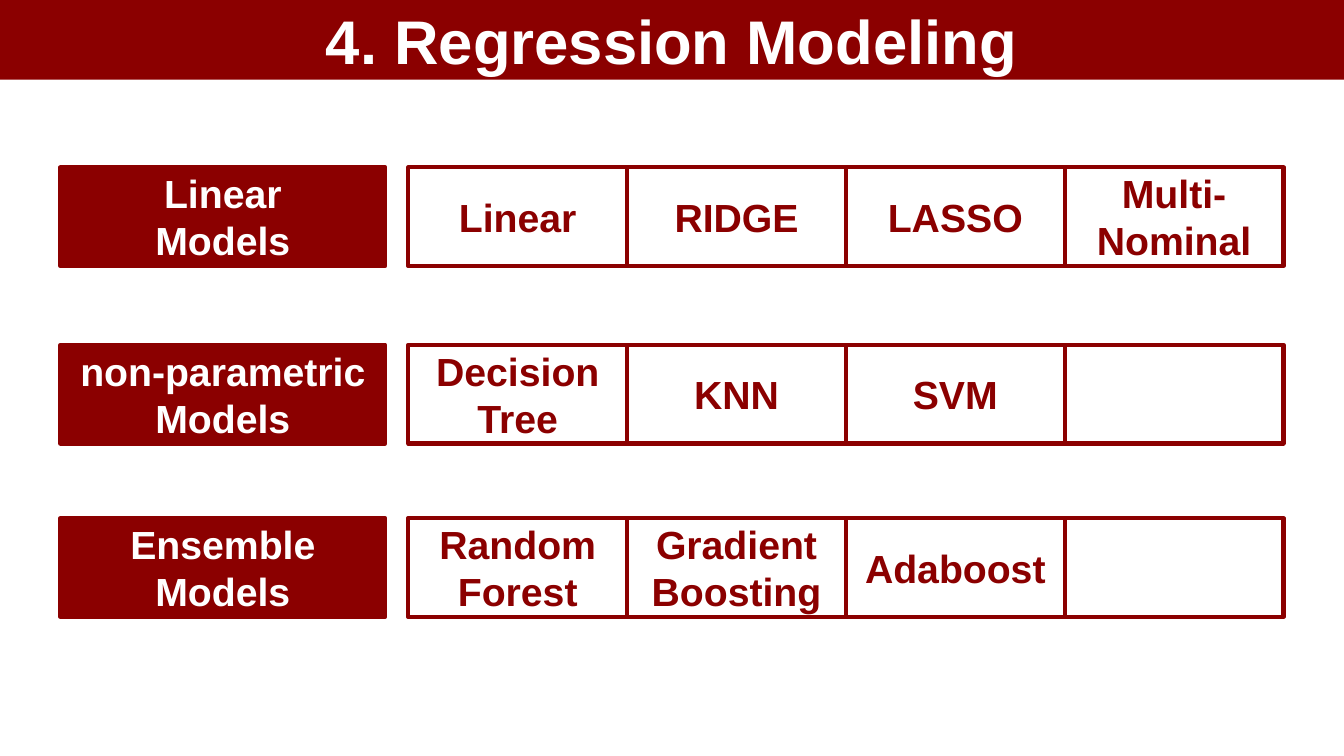
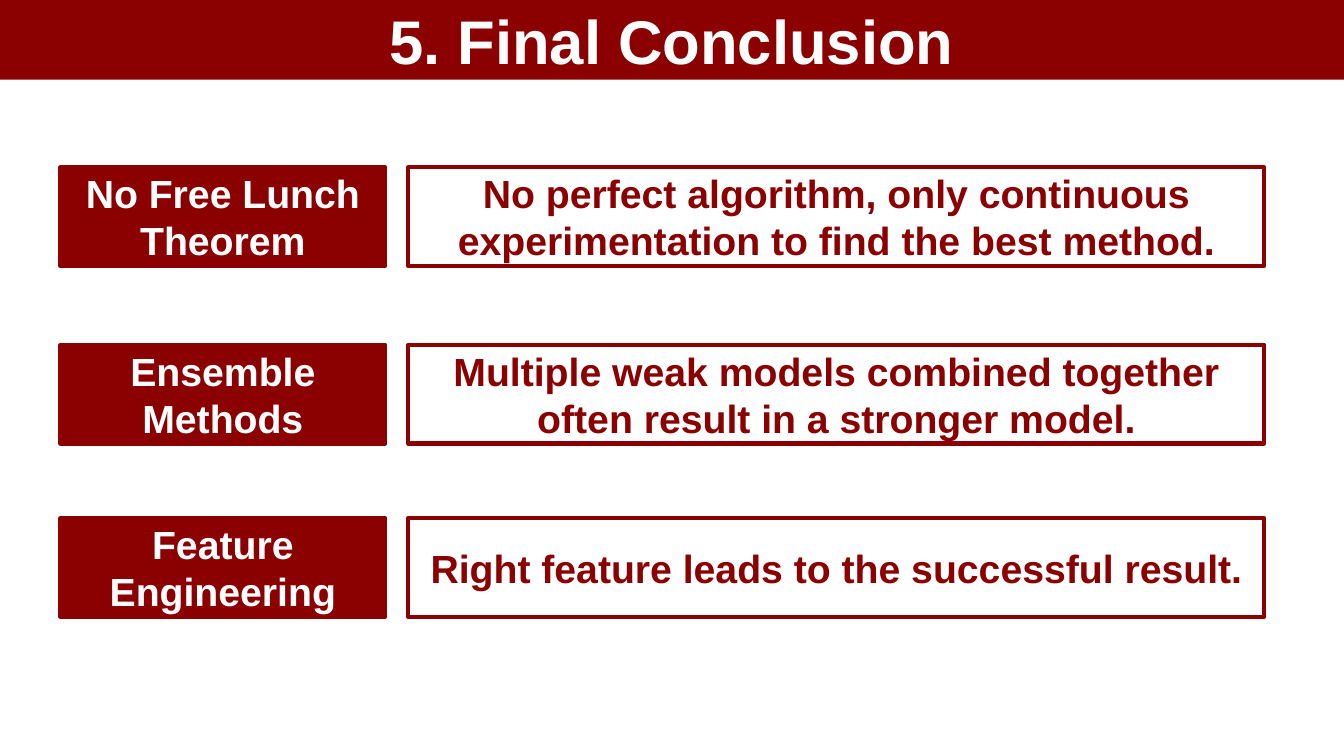
from pptx import Presentation
from pptx.dml.color import RGBColor
from pptx.enum.shapes import MSO_SHAPE as Shape
from pptx.enum.text import MSO_ANCHOR as Anchor, MSO_AUTO_SIZE as AutoSize, PP_ALIGN as Align
from pptx.util import Inches, Pt

COLORS = {"crimson": "8B0000", "white": "FFFFFF"}
FONT = "Arial"
SLIDE_WIDTH, SLIDE_HEIGHT = 13.33, 7.5
BAND_HEIGHT = 0.79
TITLE_ONLY = 5

ROW_TOPS = (1.66, 3.42, 5.14)
ROW_HEIGHT = 0.98
LABEL_LEFT, LABEL_WIDTH = 0.6, 3.22
CELLS_LEFT = 4.05
MODEL_WIDTH = 2.17
CONCLUSION_WIDTH = 8.49

MODEL_ROWS = (
    ("Linear\nModels", ("Linear", "RIDGE", "LASSO", "Multi-\nNominal")),
    ("non-parametric\nModels", ("Decision Tree", "KNN", "SVM", "")),
    ("Ensemble Models", ("Random\nForest", "Gradient Boosting", "Adaboost", "")),
)
CONCLUSION_ROWS = (
    ("No Free Lunch Theorem",
     ("No perfect algorithm, only continuous experimentation to find the best method.",)),
    ("Ensemble Methods",
     ("Multiple weak models combined together often result in a stronger model.",)),
    ("Feature Engineering",
     ("Right feature leads to the successful result.",)),
)


def rgb(name):
    return RGBColor.from_string(COLORS[name])


def write(shape, text, size=28, color="crimson"):
    """Set bold, centred text; each line break starts a paragraph."""
    frame = shape.text_frame
    frame.text = text
    frame.word_wrap = True
    frame.auto_size = AutoSize.NONE
    frame.vertical_anchor = Anchor.MIDDLE
    for paragraph in frame.paragraphs:
        paragraph.alignment = Align.CENTER
        font = paragraph.font
        font.name, font.size, font.bold = FONT, Pt(size), True
        font.color.rgb = rgb(color)


def fill_solid(shape, color):
    shape.fill.solid()
    shape.fill.fore_color.rgb = rgb(color)


def add_titled_slide(prs, title):
    slide = prs.slides.add_slide(prs.slide_layouts[TITLE_ONLY])
    band = slide.shapes.title
    band.left, band.top = 0, 0
    band.width, band.height = prs.slide_width, Inches(BAND_HEIGHT)
    fill_solid(band, "crimson")
    write(band, title, size=44, color="white")
    return slide


def add_box(slide, left, top, width, text, filled=False):
    box = slide.shapes.add_shape(
        Shape.RECTANGLE, *map(Inches, (left, top, width, ROW_HEIGHT)))
    box.shadow.inherit = False
    box.line.color.rgb = rgb("crimson")
    box.line.width = Pt(3)
    if filled:
        fill_solid(box, "crimson")
    else:
        box.fill.background()
    if text:
        write(box, text, color="white" if filled else "crimson")


def add_rows(slide, rows, cell_width):
    """Draw each row as a filled label followed by adjoining outlined cells."""
    for top, (label, cells) in zip(ROW_TOPS, rows):
        add_box(slide, LABEL_LEFT, top, LABEL_WIDTH, label, filled=True)
        for column, text in enumerate(cells):
            add_box(slide, CELLS_LEFT + column * cell_width, top, cell_width, text)


def main():
    prs = Presentation()
    prs.slide_width, prs.slide_height = Inches(SLIDE_WIDTH), Inches(SLIDE_HEIGHT)
    for title, rows, cell_width in (
        ("4. Regression Modeling", MODEL_ROWS, MODEL_WIDTH),
        ("5. Final Conclusion", CONCLUSION_ROWS, CONCLUSION_WIDTH),
    ):
        add_rows(add_titled_slide(prs, title), rows, cell_width)
    prs.save("out.pptx")


if __name__ == "__main__":
    main()
